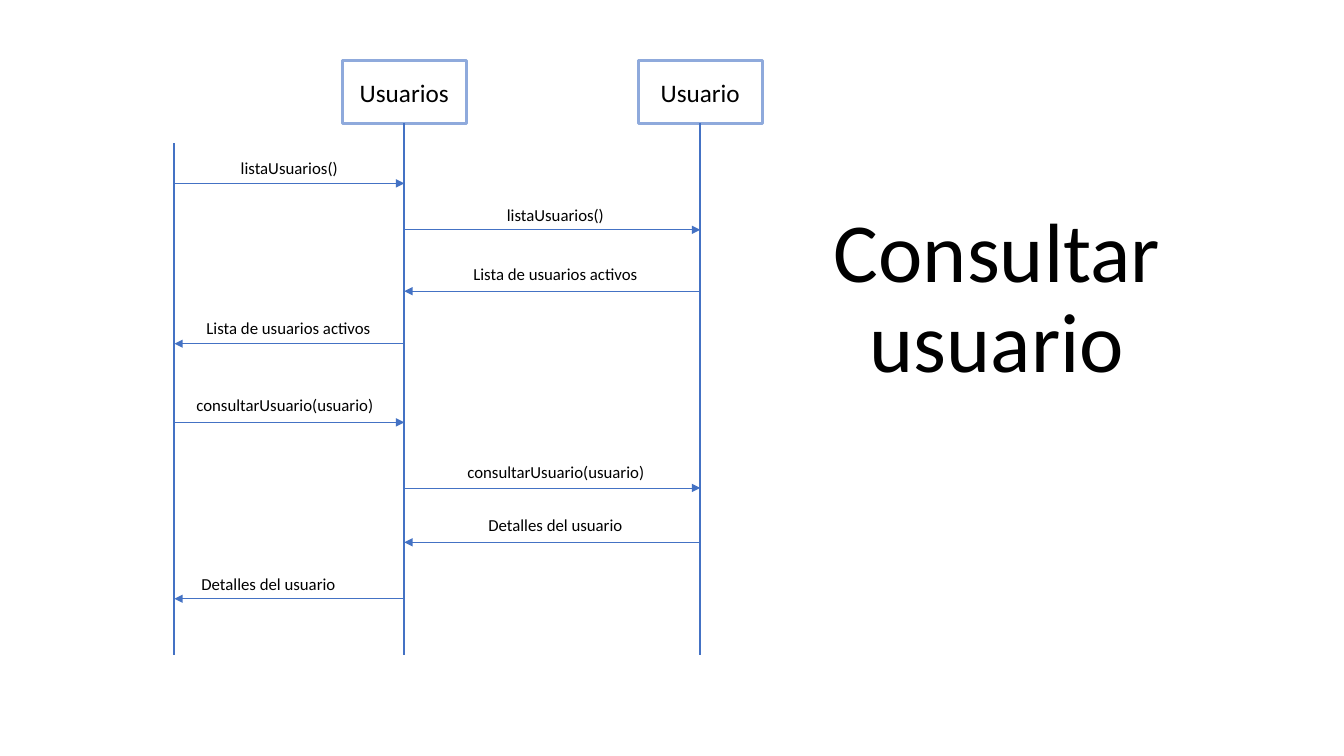
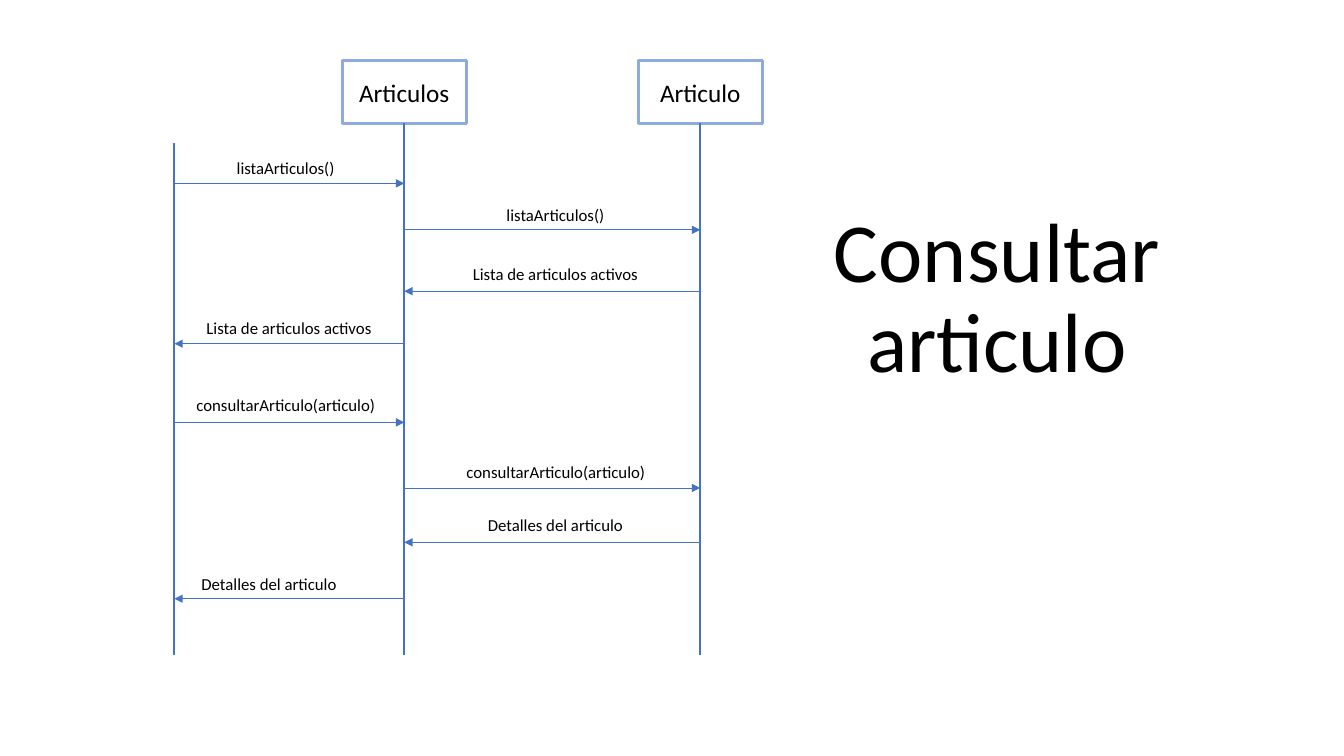
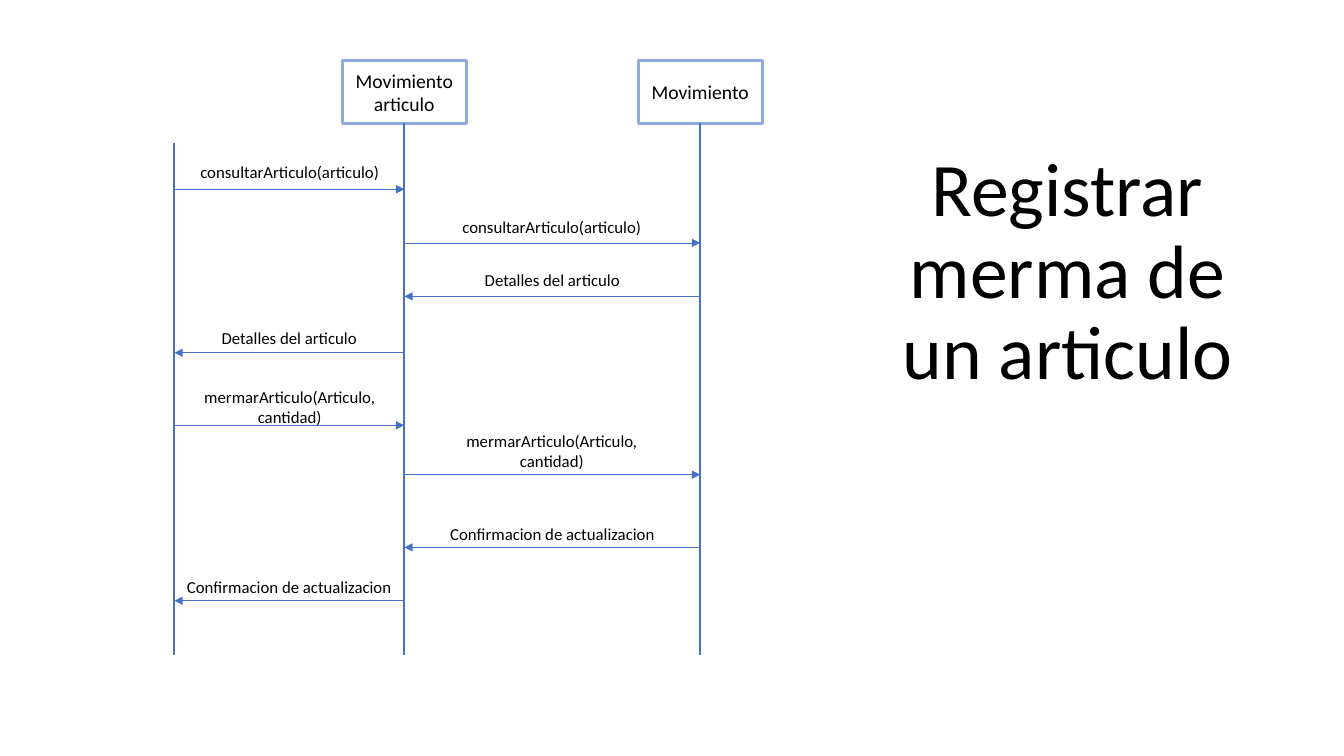
from typing import NamedTuple

from pptx import Presentation
from pptx.dml.color import RGBColor
from pptx.enum import shapes, text
from pptx.oxml import ns, xmlchemy
from pptx.util import Pt

BLACK = RGBColor(0x00, 0x00, 0x00)
BLUE = RGBColor(0x44, 0x72, 0xC4)
LIGHT_BLUE = RGBColor(0x8F, 0xAA, 0xDC)
FONT = "Calibri"
LEFT = text.PP_ALIGN.LEFT
CENTER = text.PP_ALIGN.CENTER

LIFELINES = (124.6, 288.8, 500.2)
ACTOR_TOP, LIFELINE_BOTTOM = 102.2, 468
HEADER_TOP, HEADER_WIDTH, HEADER_HEIGHT = 43.2, 88.6, 45
ROUTE = ((0, 1), (1, 2), (2, 1), (1, 0)) * 2


class Message(NamedTuple):
    words: str
    line_y: float
    left: float
    top: float
    width: float
    align: text.PP_ALIGN = CENTER
    height: float = 21.8


def write(frame, words, size, align=CENTER):
    frame.word_wrap = True
    para = frame.paragraphs[0]
    para.text = words
    para.alignment = align
    para.font.size = Pt(size)
    para.font.name = FONT
    para.font.color.rgb = BLACK
    return para


def add_title(page, words, size, left, top):
    title = page.shapes.title
    title.left, title.top = Pt(left), Pt(top)
    title.width, title.height = Pt(267.8), Pt(150.5)
    frame = title.text_frame
    frame.auto_size = text.MSO_AUTO_SIZE.NONE
    frame.vertical_anchor = text.MSO_ANCHOR.BOTTOM
    write(frame, words, size).line_spacing = 0.9


def add_line(page, start, end, width, arrow=False):
    line = page.shapes.add_connector(
        shapes.MSO_CONNECTOR.STRAIGHT, *(Pt(value) for value in start + end))
    line.line.color.rgb = BLUE
    line.line.width = Pt(width)
    properties = line.element.spPr
    if arrow:
        tail = xmlchemy.OxmlElement("a:tailEnd")
        tail.set("type", "triangle")
        properties.find(ns.qn("a:ln")).append(tail)
    properties.append(xmlchemy.OxmlElement("a:effectLst"))


def add_header(page, words, size, center):
    box = page.shapes.add_shape(
        shapes.MSO_SHAPE.RECTANGLE, Pt(center - HEADER_WIDTH / 2), Pt(HEADER_TOP),
        Pt(HEADER_WIDTH), Pt(HEADER_HEIGHT))
    box.shadow.inherit = False
    box.fill.background()
    box.line.color.rgb = LIGHT_BLUE
    box.line.width = Pt(2.25)
    box.text_frame.vertical_anchor = text.MSO_ANCHOR.MIDDLE
    write(box.text_frame, words, size)


def add_message(page, message, source, target):
    add_line(page, (LIFELINES[source], message.line_y),
             (LIFELINES[target], message.line_y), 0.5, arrow=True)
    label = page.shapes.add_textbox(
        Pt(message.left), Pt(message.top), Pt(message.width), Pt(message.height))
    label.text_frame.auto_size = text.MSO_AUTO_SIZE.SHAPE_TO_FIT_TEXT
    write(label.text_frame, message.words, 12, message.align)


def add_sequence(deck, headers, header_size, messages):
    page = deck.slides.add_slide(deck.slide_layouts[0])
    subtitle = page.placeholders[1].element
    subtitle.getparent().remove(subtitle)
    for words, center in zip(headers, LIFELINES[1:]):
        add_header(page, words, header_size, center)
    header_bottom = HEADER_TOP + HEADER_HEIGHT
    for x, top in zip(LIFELINES, (ACTOR_TOP, header_bottom, header_bottom)):
        add_line(page, (x, top), (x, LIFELINE_BOTTOM), 1.5)
    for message, (source, target) in zip(messages, ROUTE):
        add_message(page, message, source, target)
    return page


def add_query(deck, item, first_left):
    name = item.capitalize()
    list_call = f"lista{name}s()"
    active_list = f"Lista de {item}s activos"
    query_call = f"consultar{name}({item})"
    details = f"Detalles del {item}"
    messages = (
        Message(list_call, 131, first_left, 109.4, 90.7, LEFT),
        Message(list_call, 164.2, 326.2, 142.6, 141.1),
        Message(active_list, 208, 326.2, 185, 141.1),
        Message(active_list, 245.5, 140.4, 223.2, 133.2, LEFT),
        Message(query_call, 301.7, 133.2, 278.6, 149, LEFT),
        Message(query_call, 348.5, 322.6, 326.2, 149),
        Message(details, 387.4, 326.2, 364.3, 141.1),
        Message(details, 427.7, 136.8, 406.1, 141.1, LEFT),
    )
    page = add_sequence(deck, (f"{name}s", name), 18, messages)
    add_title(page, f"Consultar {item}", 60, 578.2, 132.5)


def add_loss_record(deck):
    query_call = "consultarArticulo(articulo)"
    details = "Detalles del articulo"
    loss_call = "mermarArticulo(Articulo, cantidad)"
    confirmation = "Confirmacion de actualizacion"
    messages = (
        Message(query_call, 135.2, 132.5, 112.3, 149),
        Message(query_call, 173.5, 319.7, 151.2, 149),
        Message(details, 211.7, 324, 189.4, 141.1),
        Message(details, 252, 136.1, 230.4, 141.1),
        Message(loss_call, 303.8, 138.2, 272.9, 137.5, height=36),
        Message(loss_call, 339.1, 303.1, 303.8, 182.2, height=36),
        Message(confirmation, 391, 312.5, 370.8, 164.2),
        Message(confirmation, 429.1, 125.3, 408.2, 162.7),
    )
    page = add_sequence(deck, ("Movimiento articulo", "Movimiento"), 14, messages)
    add_title(page, "Registrar merma de un articulo", 54, 628.6, 136.1)


def main():
    deck = Presentation()
    deck.slide_width, deck.slide_height = Pt(960), Pt(540)
    add_query(deck, "usuario", 164.9)
    add_query(deck, "articulo", 162)
    add_loss_record(deck)
    deck.save("out.pptx")


if __name__ == "__main__":
    main()
